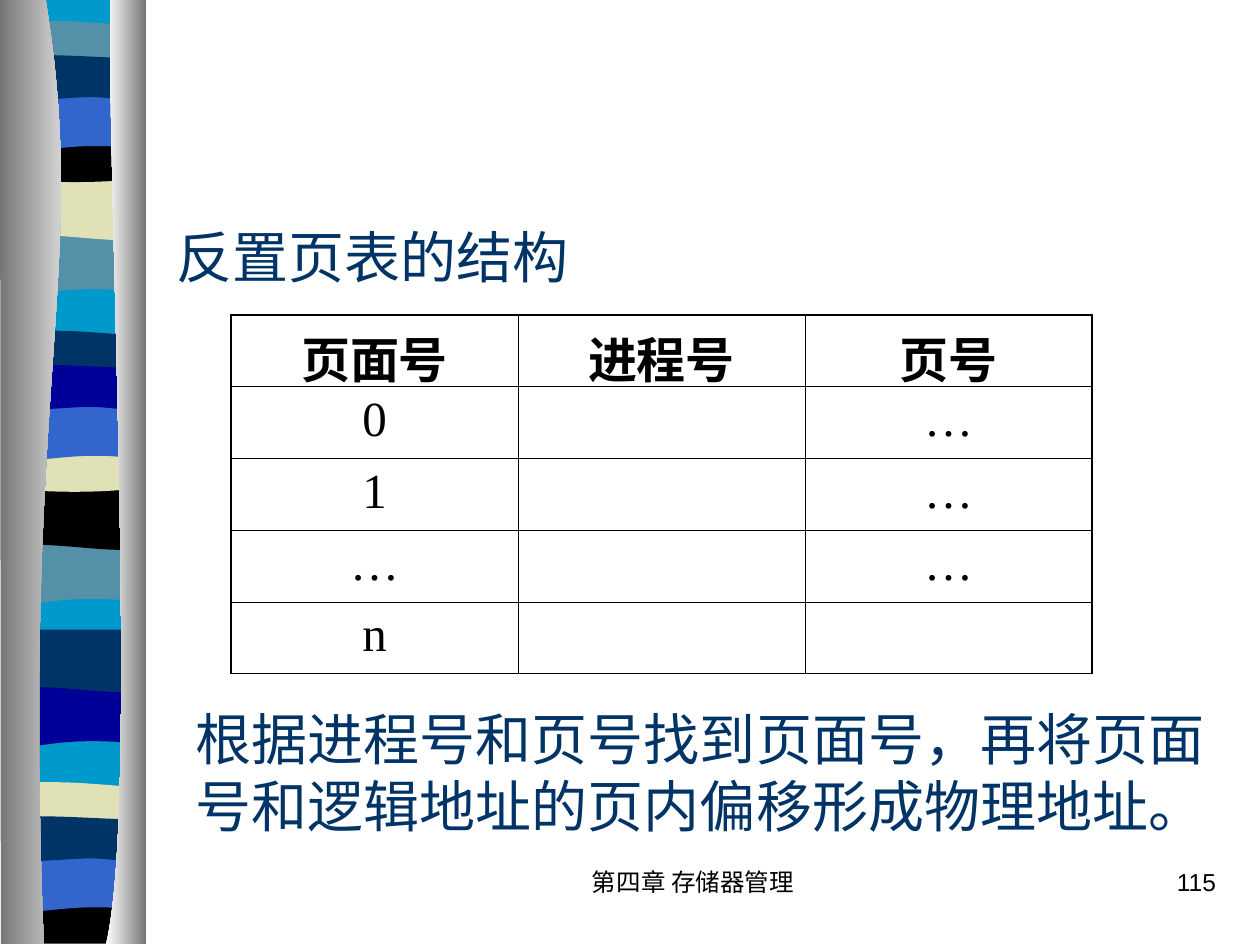
from lxml import etree
from pptx import Presentation
from pptx.dml.color import RGBColor
from pptx.enum.text import MSO_ANCHOR, PP_ALIGN
from pptx.oxml.ns import qn
from pptx.util import Pt

LEFT, CENTER, RIGHT = PP_ALIGN.LEFT, PP_ALIGN.CENTER, PP_ALIGN.RIGHT
TOP, MIDDLE = MSO_ANCHOR.TOP, MSO_ANCHOR.MIDDLE

COLORS = {
    "cyan": "0099CC", "teal": "5490A8", "cream": "E1E1B7", "black": "000000",
    "blue": "3366CC", "navy": "003366", "indigo": "000099",
    "gray": "767676", "white": "FFFFFF",
}

BANDS = {
    "wave": [(82, 133.2), (82, 167), (28, 161, 17, 173, 4, 167), (4, 133.2)],
    "swell": [(82, 101.5), (82, 135.5), (69, 141, 28, 131, 4, 135.5), (4, 101.5)],
    "ripple": [(82, 15), (82, 32.5), (69, 35.5, 17, 35.5, 4, 32.5), (4, 15),
               (9, 11.5, 21, 12, 34, 12), (47, 12, 72, 14.5, 82, 15)],
    "bowl": [(82, 78), (82, 101), (69, 105, 17, 105, 4, 101), (4, 78),
             (52, 81.5, 65.5, 78, 82, 78)],
    "foot": [(82, 78), (82, 104.3), (4, 104.3), (4, 78),
             (52, 81.5, 65.5, 78, 82, 78)],
    "arch": [(82, 53.5), (82, 87), (70, 83.5, 65, 83.5, 52, 83.5),
             (39, 83.5, 16, 87, 4, 87), (4, 53.5)],
    "flag": [(82, 33), (82, 55.5), (77, 59, 65, 55.5, 52, 55.5),
             (39, 55.5, 12, 59, 4, 55.5), (4, 33), (15, 29.5, 57, 33, 70, 33),
             (83, 33, 79, 33, 82, 33)],
}

BAND_GROUPS = [
    (0, 0, {"wave": "teal", "swell": "cream", "ripple": "teal",
            "bowl": "black", "arch": "blue", "flag": "navy"}),
    (-0.5, 177, {"wave": "teal", "swell": "black", "ripple": "navy",
                 "bowl": "cream", "arch": "blue", "flag": "indigo"}),
    (0, 258.3, {"wave": "indigo", "swell": "navy"}),
    (-0.5, 435, {"ripple": "cream", "foot": "black", "arch": "blue", "flag": "navy"}),
]

BACKDROP = [(82, -0.5), (82, 538), (4, 538), (4, -0.5)]
LEFT_COLUMN = [(26, -0.5), (51.5, 155.5, 12, 213, 25, 539.5), (0.5, 539.5), (0, -0.5)]
RIGHT_COLUMN = [(63.2, -0.5), (60.5, 90, 80, 465, 60.5, 539.5), (83.5, 539.5), (83.5, 0)]

ROWS = [
    ("页面号", "进程号", "页号"),
    ("0", "", "…"),
    ("1", "", "…"),
    ("…", "", "…"),
    ("n", "", ""),
]


def rgb(name):
    return RGBColor.from_string(COLORS[name])


def write(tf, text, size=14, font="Times New Roman", color="black",
          bold=False, align=LEFT):
    p = tf.paragraphs[0]
    p.alignment = align
    r = p.add_run()
    r.text = text
    r.font.size = Pt(size)
    r.font.name = font
    r.font.bold = bold
    r.font.color.rgb = rgb(color)


def bend(sp, segments):
    lines = iter(list(sp._element.iter(qn("a:lnTo"))))
    for seg in segments:
        first = next(lines)
        if len(seg) == 6:
            first.tag = qn("a:cubicBezTo")
            for _ in range(2):
                line = next(lines)
                first.append(line[0])
                line.getparent().remove(line)


def set_border(cell, side, width):
    tc_pr = cell._tc.get_or_add_tcPr()
    ln = etree.SubElement(tc_pr, qn(f"a:ln{side}"), w=str(Pt(width)))
    fill = etree.SubElement(ln, qn("a:solidFill"))
    etree.SubElement(fill, qn("a:srgbClr"), val=COLORS["black"])


class Deck:
    """Hold the current slide and its drawing style."""

    def __init__(self, slide, outer=1.08, inner=0.45):
        self.s = slide
        self.outer = outer
        self.inner = inner

    def outline(self, path, *colors, dx=0, dy=0):
        points = [((seg[i] + dx) * 100, (seg[i + 1] + dy) * 100)
                  for seg in path for i in range(0, len(seg), 2)]
        builder = self.s.shapes.build_freeform(*points[0], scale=Pt(1) / 100)
        builder.add_line_segments(points[1:], close=True)
        sp = builder.convert_to_shape()
        bend(sp, path[1:])
        sp.shadow.inherit = False
        sp.line.fill.background()
        if len(colors) == 1:
            sp.fill.solid()
            sp.fill.fore_color.rgb = rgb(colors[0])
            return
        sp.fill.gradient()
        sp.fill.gradient_angle = 0
        for stop, position, color in zip(sp.fill.gradient_stops, (0, 1), colors):
            stop.position = position
            stop.color.rgb = rgb(color)

    def text(self, x, y, w, h, text, anchor=TOP, **fmt):
        tf = self.s.shapes.add_textbox(Pt(x), Pt(y), Pt(w), Pt(h)).text_frame
        tf.word_wrap = True
        tf.vertical_anchor = anchor
        write(tf, text, **fmt)

    def table(self, x, y, w, h, rows):
        n_rows, n_cols = len(rows), len(rows[0])
        table = self.s.shapes.add_table(n_rows, n_cols, Pt(x), Pt(y), Pt(w), Pt(h)).table
        table.first_row = table.horz_banding = False
        for i, row in enumerate(rows):
            for j, text in enumerate(row):
                cell = table.cell(i, j)
                edges = {"L": j == 0, "R": j == n_cols - 1,
                         "T": i == 0, "B": i == n_rows - 1}
                for side, is_outer in edges.items():
                    set_border(cell, side, self.outer if is_outer else self.inner)
                cell.fill.background()
                if text:
                    write(cell.text_frame, text, size=28, bold=i == 0, align=CENTER)


def main():
    prs = Presentation()
    prs.slide_width, prs.slide_height = Pt(720), Pt(540)
    deck = Deck(prs.slides.add_slide(prs.slide_layouts[6]))

    deck.outline(BACKDROP, "cyan")
    for dx, dy, bands in BAND_GROUPS:
        for band, color in bands.items():
            deck.outline(BANDS[band], color, dx=dx, dy=dy)
    deck.outline(LEFT_COLUMN, "gray", "white")
    deck.outline(RIGHT_COLUMN, "white", "gray")

    heading = {"size": 32, "color": "navy", "anchor": MIDDLE}
    deck.text(93.6, 122.4, 246, 48, "反置页表的结构", **heading)
    deck.table(132, 180, 492, 205, ROWS)
    deck.text(104.8, 390, 601.2, 102,
              "根据进程号和页号找到页面号，再将页面号和逻辑地址的页内偏移形成物理地址。", **heading)
    deck.text(282, 492, 228, 36, "第四章 存储器管理", font="Arial", align=CENTER)
    deck.text(552, 492, 150, 36, "115", font="Arial", align=RIGHT)
    prs.save("out.pptx")


if __name__ == "__main__":
    main()
